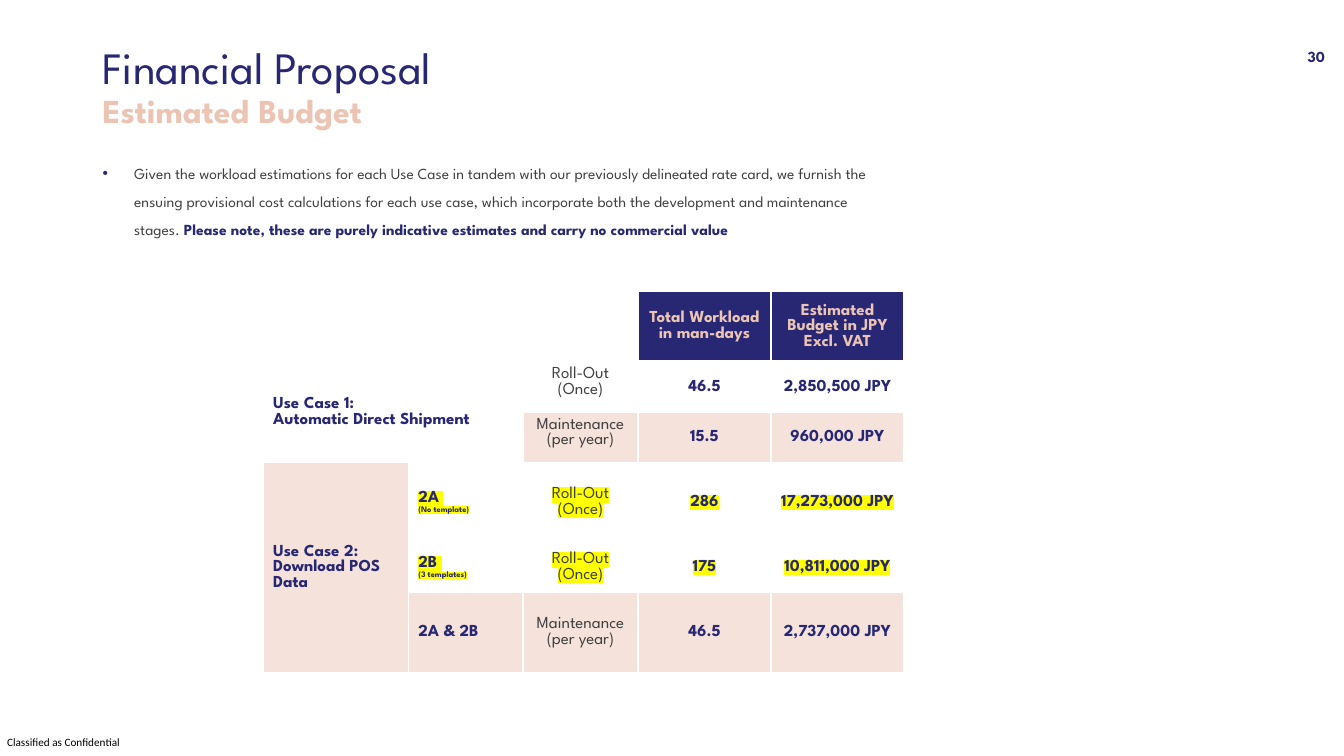
from dataclasses import dataclass

from lxml import etree
from pptx import Presentation
from pptx import util as u
from pptx.dml.color import RGBColor
from pptx.enum import text
from pptx.oxml import ns

Pt = u.Pt
NAVY = RGBColor(0x27, 0x27, 0x74)
PEACH = RGBColor(0xEB, 0xC4, 0xB4)
BLUSH = RGBColor(0xF5, 0xE2, 0xDA)
GREY = RGBColor(0x40, 0x40, 0x40)
BLACK = RGBColor(0, 0, 0)
WHITE = RGBColor(0xFF, 0xFF, 0xFF)
YELLOW = RGBColor(0xFF, 0xFF, 0)
FONT = "League Spartan"
CENTER, LEFT = text.PP_ALIGN.CENTER, text.PP_ALIGN.LEFT
TOP, MIDDLE = text.MSO_ANCHOR.TOP, text.MSO_ANCHOR.MIDDLE


@dataclass
class Style:
    size: float
    color: RGBColor
    bold: bool = False
    font: str = FONT
    highlight: bool = False


@dataclass
class Cell:
    row: int
    col: int
    lines: list[str]
    styles: list[Style]
    fill: RGBColor = WHITE
    align: text.PP_ALIGN = CENTER
    anchor: text.MSO_ANCHOR = MIDDLE
    flush: bool = False


@dataclass
class BudgetRow:
    phase: list[str]
    days: str
    budget: str
    fill: RGBColor
    highlight: bool = False
    phase_anchor: text.MSO_ANCHOR = MIDDLE


def add_xml(parent, tag: str, **attrs: str):
    return etree.SubElement(parent, ns.qn(tag), attrs)


def format_run(r, style: Style) -> None:
    r.font.size = Pt(style.size)
    r.font.name = style.font
    r.font.bold = style.bold
    r.font.color.rgb = style.color
    if style.highlight:
        mark = etree.Element(ns.qn("a:highlight"))
        add_xml(mark, "a:srgbClr", val=str(YELLOW))
        r.font.fill._xPr.find(ns.qn("a:solidFill")).addnext(mark)


def add_run(p, words: str, style: Style) -> None:
    r = p.add_run()
    r.text = words
    format_run(r, style)


def add_text_box(slide, left: float, top: float, width: float, height: float):
    tf = slide.shapes.add_textbox(Pt(left), Pt(top), Pt(width), Pt(height)).text_frame
    tf.word_wrap = True
    return tf


def draw_borders(cell, bottom: float) -> None:
    """Put white edges around a cell, the bottom one with its own width."""
    tc_pr = cell._tc.get_or_add_tcPr()
    for i, (side, width) in enumerate((("L", 1), ("R", 1), ("T", 1), ("B", bottom))):
        line = etree.Element(ns.qn(f"a:ln{side}"), {"w": str(Pt(width))})
        add_xml(add_xml(line, "a:solidFill"), "a:srgbClr", val=str(WHITE))
        tc_pr.insert(i, line)


def fill_cell(table, item: Cell) -> None:
    cell = table.cell(item.row, item.col)
    cell.fill.solid()
    cell.fill.fore_color.rgb = item.fill
    cell.vertical_anchor = item.anchor
    if item.flush:
        cell.margin_left = cell.margin_right = cell.margin_top = cell.margin_bottom = 0
    cell.text_frame.text = "\n".join(item.lines)
    for p, style in zip(cell.text_frame.paragraphs, item.styles):
        p.alignment = item.align
        for r in p.runs:
            format_run(r, style)


def add_heading(slide) -> None:
    tf = add_text_box(slide, 66.24, 28.8, 819.36, 68.4)
    tf.vertical_anchor = MIDDLE
    p = tf.paragraphs[0]
    p.line_spacing = 0.9
    add_run(p, "Financial Proposal", Style(32, NAVY))
    p.add_line_break()
    add_run(p, "Estimated Budget", Style(24, PEACH, True))


def add_note(slide) -> None:
    p = add_text_box(slide, 66.24, 107.28, 582.48, 84.96).paragraphs[0]
    p.line_spacing = 1.5
    p.space_before = Pt(10)
    p_pr = p._p.get_or_add_pPr()
    p_pr.set("marL", str(Pt(22.5)))
    p_pr.set("indent", str(-Pt(22.5)))
    add_xml(add_xml(p_pr, "a:buClr"), "a:srgbClr", val=str(NAVY))
    add_xml(p_pr, "a:buFont", typeface="Arial")
    add_xml(p_pr, "a:buChar", char="•")
    add_run(p, "Given the workload estimations for each Use Case in tandem with our previously "
               "delineated rate card, we furnish the ensuing provisional cost calculations for "
               "each use case, which incorporate both the development and maintenance stages. ",
            Style(11, GREY))
    add_run(p, "Please note, these are purely indicative estimates and carry no commercial value",
            Style(11, NAVY, True))


def add_budget_table(slide) -> None:
    widths = [103.68, 82.08, 82.08, 95.04, 95.04]
    heights = [29.52, 29.52, 29.52, 56.88, 28.08, 56.88]
    frame = slide.shapes.add_table(len(heights), len(widths), Pt(187.92), Pt(208.08),
                                   Pt(sum(widths)), Pt(sum(heights)))
    table = frame.table
    table.horz_banding = False
    for column, width in zip(table.columns, widths):
        column.width = Pt(width)
    for row, height in zip(table.rows, heights):
        row.height = Pt(height)

    label, header = Style(12, NAVY, True), Style(12, PEACH, True)
    marked, detail = Style(12, NAVY, True, highlight=True), Style(6, NAVY, True, highlight=True)
    roll_out, upkeep = ["Roll-Out", "(Once)"], ["Maintenance", "(per year)"]
    rows = [
        BudgetRow(roll_out, "46.5", "2,850,500 JPY", WHITE, phase_anchor=TOP),
        BudgetRow(upkeep, "15.5", "960,000 JPY", BLUSH, phase_anchor=TOP),
        BudgetRow(roll_out, "286", "17,273,000 JPY", WHITE, True),
        BudgetRow(roll_out, "175", "10,811,000 JPY", WHITE, True),
        BudgetRow(upkeep, "46.5", "2,737,000 JPY", BLUSH),
    ]
    cells = [Cell(0, col, [""], [header]) for col in range(3)] + [
        Cell(0, 3, ["Total Workload in man-days"], [header], NAVY),
        Cell(0, 4, ["Estimated Budget in JPY Excl. VAT"], [header], NAVY),
        Cell(1, 0, ["Use Case 1:", "Automatic Direct Shipment"], [label] * 2, align=LEFT),
        Cell(3, 0, ["Use Case 2:", "Download POS Data"], [label] * 2, BLUSH, LEFT),
        Cell(3, 1, ["2A ", "(No template)"], [marked, detail], align=LEFT),
        Cell(4, 1, ["2B ", "(3 templates)"], [marked, detail], align=LEFT),
        Cell(5, 1, ["2A & 2B"], [label], BLUSH, LEFT),
    ]
    for i, row in enumerate(rows, start=1):
        phase = Style(12, GREY, highlight=row.highlight)
        amount = Style(12, NAVY, True, highlight=row.highlight)
        cells.append(Cell(i, 2, row.phase, [phase] * 2, row.fill, anchor=row.phase_anchor))
        for col, value in ((3, row.days), (4, row.budget)):
            cells.append(Cell(i, col, [value], [amount], row.fill, flush=True))

    table.cell(1, 0).merge(table.cell(2, 1))
    table.cell(3, 0).merge(table.cell(5, 0))
    for item in cells:
        fill_cell(table, item)
    for i, row in enumerate(table.rows):
        for cell in row.cells:
            draw_borders(cell, bottom=1 if i else 3)


def main() -> None:
    prs = Presentation()
    prs.slide_width, prs.slide_height = Pt(960), Pt(540)
    slide = prs.slides.add_slide(prs.slide_layouts[6])

    tf = add_text_box(slide, 5.04, 525.6, 82.8, 9.36)
    tf.margin_left = tf.margin_right = tf.margin_top = tf.margin_bottom = 0
    add_run(tf.paragraphs[0], "Classified as Confidential", Style(8, BLACK, font="Calibri"))

    tf = add_text_box(slide, 920.88, 30.24, 38.88, 19.44)
    tf.vertical_anchor = MIDDLE
    tf.paragraphs[0].alignment = CENTER
    add_run(tf.paragraphs[0], "30", Style(11, NAVY, True))

    add_heading(slide)
    add_note(slide)
    add_budget_table(slide)
    prs.save("out.pptx")


if __name__ == "__main__":
    main()
